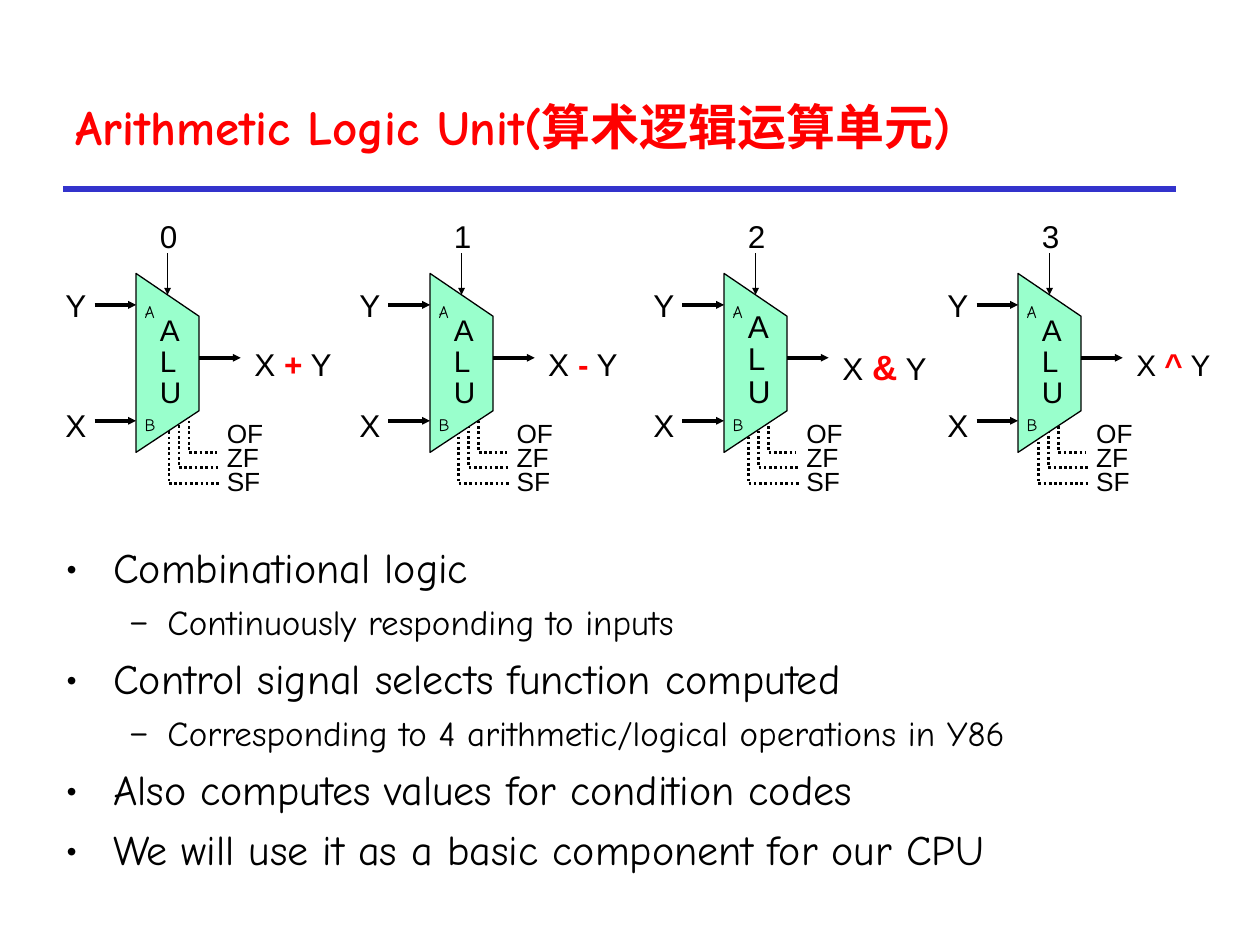
from dataclasses import dataclass

from lxml.etree import SubElement
from pptx import Presentation
from pptx.dml.color import RGBColor
from pptx.enum.dml import MSO_LINE
from pptx.enum.shapes import MSO_CONNECTOR
from pptx.enum.text import MSO_ANCHOR, MSO_AUTO_SIZE, PP_ALIGN
from pptx.oxml.ns import qn
from pptx.util import Inches, Pt


@dataclass(frozen=True)
class Theme:
    heading_font: str = "Comic Neue"
    label_font: str = "Arial"
    ink: RGBColor = RGBColor(0, 0, 0)
    accent: RGBColor = RGBColor(0xFF, 0, 0)
    rule: RGBColor = RGBColor(0x33, 0x33, 0xCC)
    alu: RGBColor = RGBColor(0x99, 0xFF, 0xCC)
    title_size: int = 28
    bullet_sizes: tuple = (24, 20)
    label_size: int = 18
    flag_size: int = 15
    port_size: int = 10
    thin: float = 0.75
    dotted: float = 1.5
    thick: float = 2.25
    rule_width: float = 3


THEME = Theme()

TITLE = "Arithmetic Logic Unit(算术逻辑运算单元)"
# Control code, operator, result width, operand size, operator size,
# ALU letter size, ALU letter top
OPERATIONS = [
    ("0", "+", 0.86, 18, 18, 17, 2.5),
    ("1", "-", 0.77, 18, 18, 17, 2.5),
    ("2", "&", 0.9, 18, 20, 18, 2.47),
    ("3", "^", 0.83, 17, 18, 17, 2.5),
]
# Flag name, wire left, wire top, wire right (left edges relative to the column)
FLAGS = [("OF", 0.16, 3.09, 0.38), ("ZF", 0.08, 3.21, 0.41), ("SF", 0, 3.34, 0.41)]
BULLETS = [
    (0, "Combinational logic"),
    (1, "Continuously responding to inputs"),
    (0, "Control signal selects function computed"),
    (1, "Corresponding to 4 arithmetic/logical operations in Y86"),
    (0, "Also computes values for condition codes"),
    (0, "We will use it as a basic component for our CPU"),
]
# Bullet sign, left margin, hanging indent for each level
BULLET_LEVELS = [("•", 0.38, -0.38), ("–", 0.81, -0.31)]

ALU_LEFT, ALU_PITCH = 1.08, 7 / 3
FLAG_LEFT, FLAG_PITCH = 1.34, 2.3


def add_run(paragraph, text, size, font=THEME.label_font, color=THEME.ink, bold=False):
    run = paragraph.add_run()
    run.text = text
    run.font.name = font
    run.font.size = Pt(size)
    run.font.color.rgb = color
    run.font.bold = bold


def add_box(shapes, left, top, width, height, side_inset=0.1, wrap=False):
    """Add an empty text box and return its text frame."""
    box = shapes.add_textbox(Inches(left), Inches(top), Inches(width), Inches(height))
    frame = box.text_frame
    frame.word_wrap = wrap
    frame.auto_size = MSO_AUTO_SIZE.SHAPE_TO_FIT_TEXT
    frame.margin_left = frame.margin_right = Inches(side_inset)
    frame.margin_top = frame.margin_bottom = Inches(0.05)
    return frame


def add_label(shapes, text, left, top, width, height, size, **style):
    side_inset = style.pop("side_inset", 0.1)
    frame = add_box(shapes, left, top, width, height, side_inset)
    add_run(frame.paragraphs[0], text, size, **style)


def add_line(shapes, start, end, width, color=THEME.ink, arrow=True):
    line = shapes.add_connector(
        MSO_CONNECTOR.STRAIGHT, *(Inches(value) for value in (*start, *end)))
    line.line.color.rgb = color
    line.line.width = Pt(width)
    if arrow:
        SubElement(line.line._get_or_add_ln(), qn("a:tailEnd"),
                   type="triangle", w="sm", len="sm")
    SubElement(line._element.spPr, qn("a:effectLst"))


def add_outline(shapes, points, width, fill=None):
    """Draw a closed filled outline, or an open path when there is no fill."""
    first, *rest = [(Inches(x), Inches(y)) for x, y in points]
    builder = shapes.build_freeform(*first)
    builder.add_line_segments(rest, close=fill is not None)
    shape = builder.convert_to_shape()
    shape.shadow.inherit = False
    shape.line.color.rgb = THEME.ink
    shape.line.width = Pt(width)
    if fill is None:
        shape.fill.background()
    else:
        shape.fill.solid()
        shape.fill.fore_color.rgb = fill
    return shape


def add_flags(shapes, left):
    for row, (name, wire_left, top, wire_right) in enumerate(FLAGS):
        x, bottom = left + wire_left, top + 0.5
        wire = add_outline(
            shapes, [(x, top), (x, bottom), (left + wire_right, bottom)], THEME.dotted)
        wire.line.dash_style = MSO_LINE.ROUND_DOT
        add_label(shapes, name, left + 0.41, 3.26 + 0.19 * row, 0.4, 0.36,
                  THEME.flag_size, side_inset=0.05)


def add_alu(shapes, left, operation):
    (code, operator, result_width, operand_size, operator_size,
     letter_size, letter_top) = operation
    right = left + 0.5
    add_outline(shapes, [(left, 2.17), (right, 2.51), (right, 3.26), (left, 3.59)],
                THEME.thin, THEME.alu)

    letters = add_box(shapes, left + 0.09, letter_top, 0.42, 0.83, wrap=True)
    for index, letter in enumerate("ALU"):
        paragraph = letters.add_paragraph() if index else letters.paragraphs[0]
        paragraph.line_spacing = 0.7
        if index:
            paragraph.space_before = Pt(3.4)
        add_run(paragraph, letter, letter_size)

    ports = [("Y", "A", 2.42, 2.22, 2.34), ("X", "B", 3.34, 3.17, 3.24)]
    for operand, port, wire_y, operand_top, port_top in ports:
        add_line(shapes, (left - 0.33, wire_y), (left, wire_y), THEME.thick)
        add_label(shapes, operand, left - 0.66, operand_top, 0.39, 0.41, THEME.label_size)
        add_label(shapes, port, left - 0.03, port_top, 0.32, 0.27, THEME.port_size,
                  font=THEME.heading_font)

    add_line(shapes, (left + 0.25, 2.01), (left + 0.25, 2.34), THEME.thin)
    add_label(shapes, code, left + 0.09, 1.67, 0.35, 0.41, THEME.label_size)

    add_line(shapes, (right, 2.84), (right + 0.33, 2.84), THEME.thick)
    result = add_box(shapes, right + 0.34, 2.69, result_width, 0.41).paragraphs[0]
    add_run(result, "X ", operand_size)
    add_run(result, operator, operator_size, color=THEME.accent, bold=True)
    add_run(result, " Y", operand_size)


def add_title(slide):
    title = slide.shapes.title
    title.left, title.top = Inches(0.5), Inches(0.5)
    title.width, title.height = Inches(8.83), Inches(1)
    frame = title.text_frame
    frame.vertical_anchor = MSO_ANCHOR.MIDDLE
    frame.auto_size = MSO_AUTO_SIZE.NONE
    frame.paragraphs[0].alignment = PP_ALIGN.LEFT
    add_run(frame.paragraphs[0], TITLE, THEME.title_size, THEME.heading_font,
            THEME.accent, bold=True)


def add_bullets(shapes):
    frame = add_box(shapes, 0.42, 4.17, 8.64, 3, wrap=True)
    frame.auto_size = MSO_AUTO_SIZE.NONE
    for index, (level, text) in enumerate(BULLETS):
        paragraph = frame.add_paragraph() if index else frame.paragraphs[0]
        sign, margin, indent = BULLET_LEVELS[level]
        paragraph.level = level
        paragraph.line_spacing = 1.2
        properties = paragraph._p.get_or_add_pPr()
        properties.set("marL", str(Inches(margin)))
        properties.set("indent", str(Inches(indent)))
        SubElement(properties, qn("a:buFont"), typeface=THEME.heading_font)
        SubElement(properties, qn("a:buChar"), char=sign)
        add_run(paragraph, text, THEME.bullet_sizes[level], THEME.heading_font)


def main():
    presentation = Presentation()
    presentation.slide_width, presentation.slide_height = Inches(10), Inches(7.5)
    slide = presentation.slides.add_slide(presentation.slide_layouts[5])
    add_line(slide.shapes, (0.5, 1.5), (9.33, 1.5), THEME.rule_width, THEME.rule, arrow=False)
    add_title(slide)
    add_bullets(slide.shapes)
    for column in range(len(OPERATIONS)):
        add_flags(slide.shapes.add_group_shape().shapes, FLAG_LEFT + FLAG_PITCH * column)
    for column, operation in enumerate(OPERATIONS):
        add_alu(slide.shapes.add_group_shape().shapes,
                ALU_LEFT + ALU_PITCH * column, operation)
    presentation.save("out.pptx")


if __name__ == "__main__":
    main()
